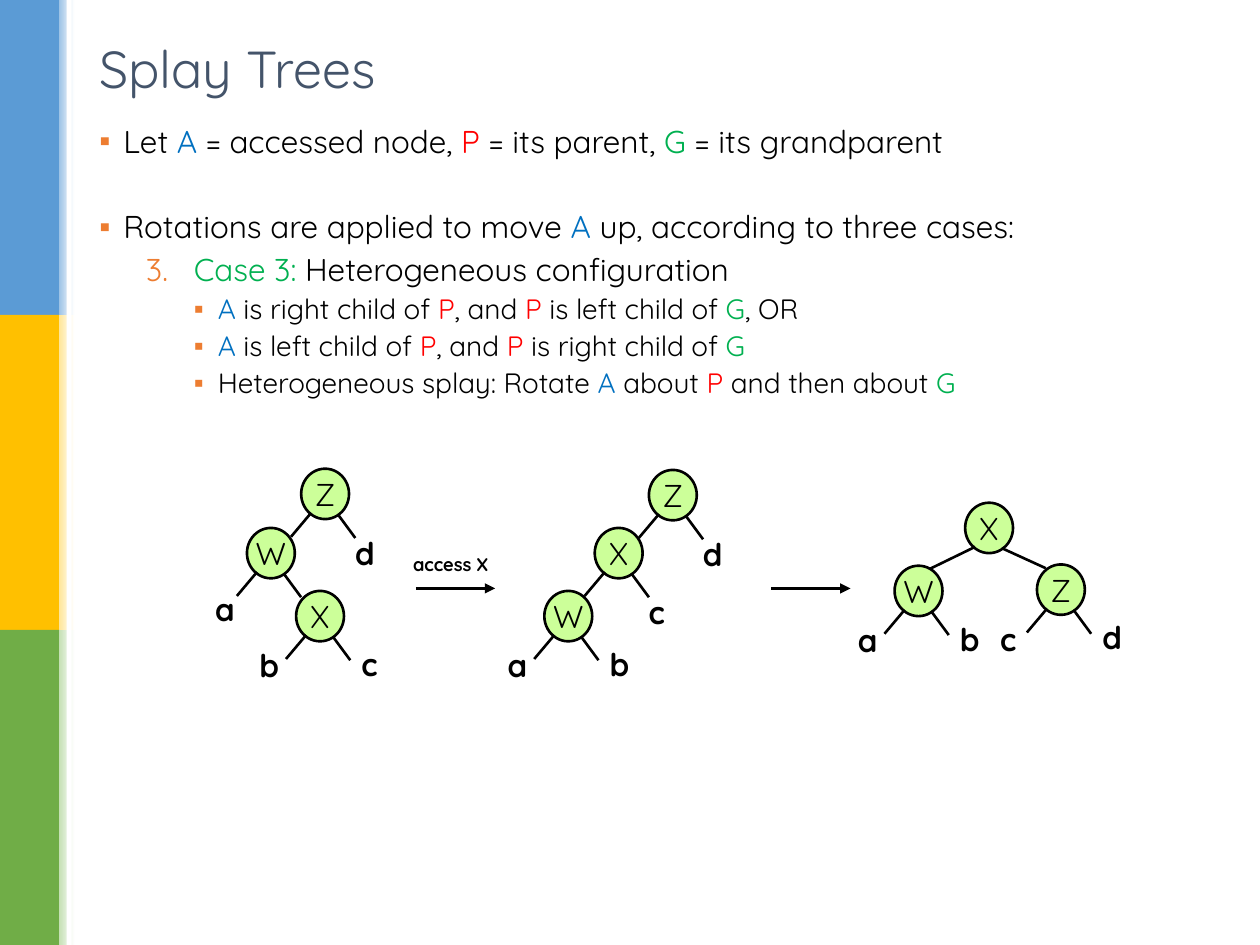
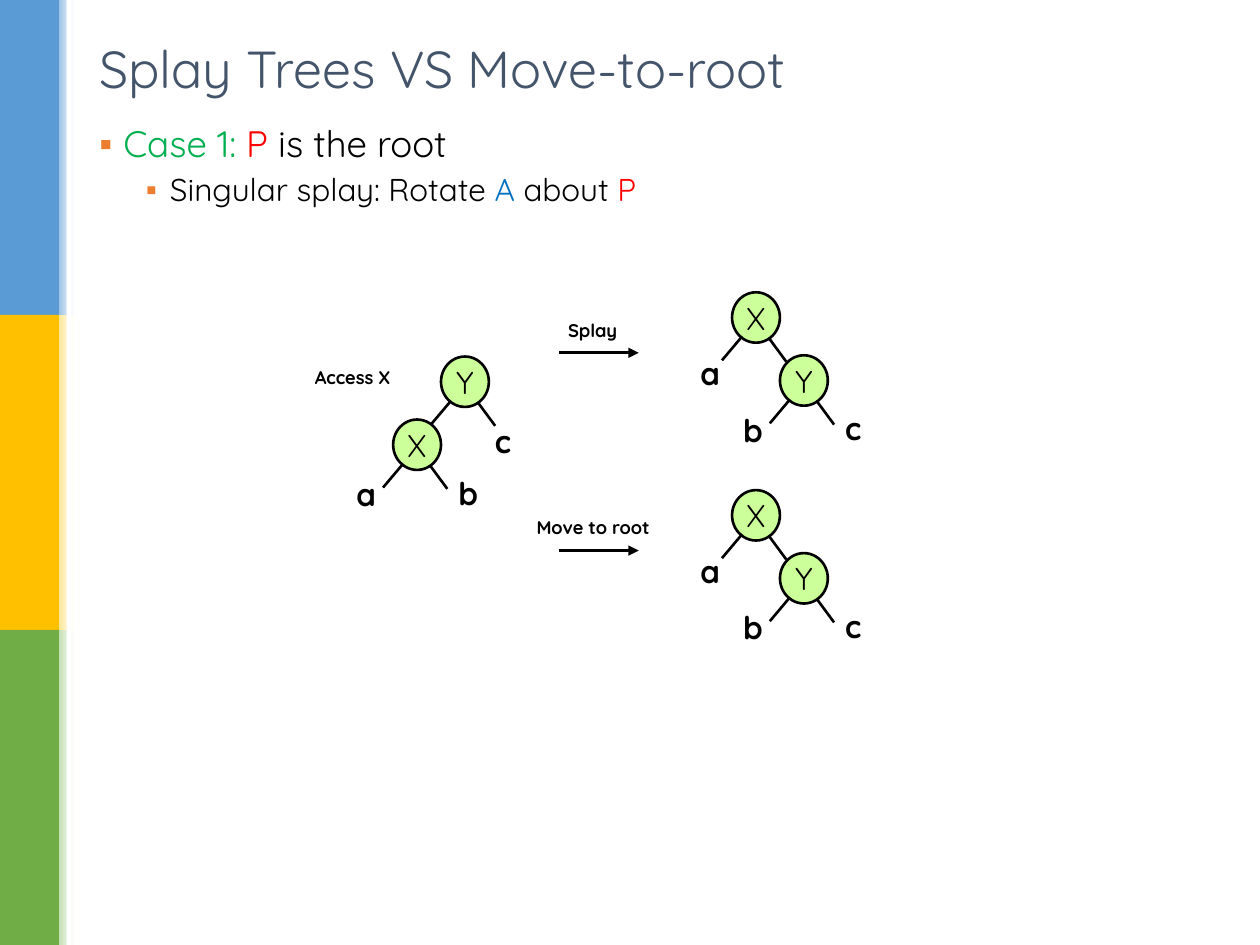
from dataclasses import dataclass
from typing import Union

from lxml import etree
from pptx import Presentation
from pptx.dml.color import RGBColor
from pptx.enum.shapes import MSO_CONNECTOR, MSO_SHAPE
from pptx.enum.text import MSO_ANCHOR, PP_ALIGN
from pptx.oxml.ns import qn
from pptx.util import Inches, Pt

RECTANGLE, ELLIPSE = MSO_SHAPE.RECTANGLE, MSO_SHAPE.OVAL
STRAIGHT = MSO_CONNECTOR.STRAIGHT
TOP, MIDDLE = MSO_ANCHOR.TOP, MSO_ANCHOR.MIDDLE
LEFT, CENTER = PP_ALIGN.LEFT, PP_ALIGN.CENTER

FONT = "Quicksand"
BLACK, WHITE = "000000", "FFFFFF"
TITLE_COLOR, BULLET_COLOR = "44546A", "ED7D31"
NODE_FILL, LABEL_OUTLINE = "CCFF99", "DEEBF7"
BANDS = [("5B9BD5", "9DC3E6"), ("FFC000", "FFE699"), ("70AD47", "C5E0B4")]
TERM_COLORS = {"A": "0070C0", "P": "FF0000", "G": "00B050",
               "Case 1:": "00B050", "Case 3:": "00B050"}
NODE_WIDTH, NODE_HEIGHT = 0.38, 0.4
LEAF_WIDTH = 0.37
ARROW_LENGTH = 0.63


@dataclass
class Node:
    label: str
    left: Union["Node", str]
    right: Union["Node", str]
    offset: tuple = (0, 0)


@dataclass
class Item:
    text: str
    size: float
    level: int = 0
    margin: float = 0.19
    hanging: float = 0.19
    before: float = 0
    number: int = 0


def rgb(color):
    return RGBColor.from_string(color)


def add_xml(parent, tag, **attributes):
    child = etree.SubElement(parent, qn(tag))
    for name, value in attributes.items():
        child.set(name, str(value))
    return child


def format_object(target, values):
    for name, value in values.items():
        setattr(target, name, value)


def add_run(paragraph, text, size, color=BLACK, bold=False):
    run = paragraph.add_run()
    run.text = text
    format_object(run.font, {"name": FONT, "size": Pt(size), "bold": bold})
    run.font.color.rgb = rgb(color)
    return run


def add_text_box(slide, box, anchor=TOP, wrap=False):
    shape = slide.shapes.add_textbox(*map(Inches, box))
    format_object(shape.text_frame, {"word_wrap": wrap, "vertical_anchor": anchor})
    return shape.text_frame


def add_shape(slide, kind, box, fill):
    shape = slide.shapes.add_shape(kind, *map(Inches, box))
    shape.shadow.inherit = False
    shape.fill.solid()
    shape.fill.fore_color.rgb = rgb(fill)
    shape.line.fill.background()
    return shape


def add_line(slide, start, end, arrow=False):
    line = slide.shapes.add_connector(STRAIGHT, *map(Inches, (*start, *end)))
    line.line.width = Pt(1.5)
    line.line.color.rgb = rgb(BLACK)
    if arrow:
        add_xml(line.line._get_or_add_ln(), "a:tailEnd", type="triangle")
    add_xml(line._element.spPr, "a:effectLst")


def add_label(slide, left, top, text, width=LEAF_WIDTH, height=0.4, size=18):
    frame = add_text_box(slide, (left, top, width, height))
    run = add_run(frame.paragraphs[0], text, size, bold=True)
    properties = run._r.get_or_add_rPr()
    outline = add_xml(properties, "a:ln", w=Pt(0.75))
    add_xml(add_xml(outline, "a:solidFill"), "a:srgbClr", val=LABEL_OUTLINE)
    properties.insert(0, outline)


def add_caption(slide, left, top, text, width):
    add_label(slide, left, top, text, width, 0.28, 10.5)


def add_arrow(slide, left, top):
    add_line(slide, (left, top), (left + ARROW_LENGTH, top), arrow=True)


def add_sidebar(slide, left, top, height):
    band_height = height / len(BANDS)
    for index, (color, pale) in enumerate(BANDS):
        band_top = top + index * band_height
        add_shape(slide, RECTANGLE, (left, band_top, 0.47, band_height), color)
        fade = add_shape(slide, RECTANGLE,
                         (left + 0.47, band_top, 0.12, band_height), pale)
        fade.fill.gradient()
        fade.fill.gradient_angle = 0
        for stop, stop_color in zip(fade.fill.gradient_stops, (pale, WHITE)):
            stop.color.rgb = rgb(stop_color)
    add_shape(slide, RECTANGLE, (left + 0.53, top, 0.04, height), WHITE)


def add_title(slide, box, text):
    frame = add_text_box(slide, box, MIDDLE)
    add_run(frame.paragraphs[0], text, 29.7, TITLE_COLOR)


def add_bullet(paragraph, item):
    properties = paragraph._p.get_or_add_pPr()
    properties.set("marL", str(Inches(item.margin)))
    properties.set("indent", str(-Inches(item.hanging)))
    add_xml(add_xml(properties, "a:buClr"), "a:srgbClr", val=BULLET_COLOR)
    if item.number:
        add_xml(properties, "a:buFont", typeface=FONT)
        add_xml(properties, "a:buAutoNum", type="arabicPeriod", startAt=item.number)
    else:
        add_xml(properties, "a:buFont", typeface="Arial")
        add_xml(properties, "a:buChar", char="▪")


def add_body(slide, box, items):
    frame = add_text_box(slide, box, wrap=True)
    for index, item in enumerate(items):
        paragraph = frame.add_paragraph() if index else frame.paragraphs[0]
        format_object(paragraph, {"level": item.level, "alignment": LEFT,
                                  "line_spacing": 0.9,
                                  "space_before": Pt(item.before)})
        add_bullet(paragraph, item)
        for part in filter(None, item.text.split("|")):
            add_run(paragraph, part, item.size, TERM_COLORS.get(part, BLACK))


def add_node(slide, left, top, label):
    shape = add_shape(slide, ELLIPSE, (left, top, NODE_WIDTH, NODE_HEIGHT), NODE_FILL)
    shape.line.color.rgb = rgb(BLACK)
    shape.line.width = Pt(1.5)
    frame = shape.text_frame
    format_object(frame, {"word_wrap": False, "vertical_anchor": MIDDLE})
    frame.paragraphs[0].alignment = CENTER
    add_run(frame.paragraphs[0], label, 18)


def add_tree(slide, left, top, node):
    add_node(slide, left, top, node.label)
    is_bottom = isinstance(node.left, str) and isinstance(node.right, str)
    leaf_offsets = [(-0.39, 0.39), (0.42, 0.38)] if is_bottom else [(-0.35, 0.44), (0.33, 0.47)]
    sides = [(node.left, (0.08, 0.35), (-0.08, 0.54), 0.27),
             (node.right, (0.29, 0.36), (0.43, 0.55), 0.07)]
    for (child, start, end, contact), leaf_offset in zip(sides, leaf_offsets):
        is_leaf = isinstance(child, str)
        across, down = leaf_offset if is_leaf else child.offset
        if abs(across) > 0.5:
            end = (across + contact, down + 0.03)
        add_line(slide, (left + start[0], top + start[1]), (left + end[0], top + end[1]))
        add_part = add_label if is_leaf else add_tree
        add_part(slide, left + across, top + down, child)


def add_rotation_steps(slide, left, top):
    zigzag = Node("Z", Node("W", "a", Node("X", "b", "c", (0.39, 0.5)), (-0.43, 0.47)), "d")
    chain = Node("Z", Node("X", Node("W", "a", "b", (-0.4, 0.5)), "c", (-0.43, 0.46)), "d")
    balanced = Node("X", Node("W", "a", "b", (-0.56, 0.5)), Node("Z", "c", "d", (0.57, 0.49)))
    add_tree(slide, left + 0.77, top, zigzag)
    add_caption(slide, left + 1.56, top + 0.62, "access X", 0.9)
    add_arrow(slide, left + 1.68, top + 0.95)
    add_tree(slide, left + 3.53, top + 0.01, chain)
    add_arrow(slide, left + 4.5, top + 0.95)
    add_tree(slide, left + 6.04, top + 0.27, balanced)


def add_comparison(slide, left, top):
    before = Node("Y", Node("X", "a", "b", (-0.38, 0.5)), "c")
    after = Node("X", "a", Node("Y", "b", "c", (0.38, 0.5)))
    add_caption(slide, left, top + 0.54, "Access X", 0.87)
    add_tree(slide, left + 1.1, top + 0.51, before)
    outcomes = [("Splay", 2.01, 0.59), ("Move to root", 1.76, 1.11)]
    for index, (caption, caption_left, width) in enumerate(outcomes):
        row_top = top + index * 1.57
        add_caption(slide, left + caption_left, row_top + 0.16, caption, width)
        add_arrow(slide, left + 2.04, row_top + 0.48)
        add_tree(slide, left + 3.41, row_top, after)


def add_content_slide(presentation, title, title_width, items):
    slide = presentation.slides.add_slide(presentation.slide_layouts[6])
    add_sidebar(slide, 0, 0, 7.5)
    add_body(slide, (0.69, 0.95, 8.74, 6.44), items)
    add_title(slide, (0.69, 0.26, title_width, 0.56), title)
    return slide


HETEROGENEOUS_CASE = [
    Item("Let |A| = accessed node, |P| = its parent, |G| = its grandparent", 18),
    Item("Rotations are applied to move |A| up, according to three cases:", 18, before=29.5),
    Item("Case 3:| Heterogeneous configuration", 18, 1, 0.75, 0.38, 5, number=3),
    *(Item(text, 16, 2, 0.94, before=4) for text in (
        "A| is right child of |P|, and |P| is left child of |G|, OR",
        "A| is left child of |P|, and |P| is right child of |G",
        "Heterogeneous splay: Rotate |A| about |P| and then about |G")),
]
ROOT_CASE = [
    Item("Case 1:| |P| is the root", 21),
    Item("Singular splay: Rotate |A| about |P", 18, 1, 0.56, before=5),
]

presentation = Presentation()
presentation.slide_width, presentation.slide_height = Inches(10), Inches(7.5)
rotation_slide = add_content_slide(presentation, "Splay Trees", 3.74, HETEROGENEOUS_CASE)
add_rotation_steps(rotation_slide, 1.62, 3.72)
comparison_slide = add_content_slide(presentation, "Splay Trees VS Move-to-root", 6.12, ROOT_CASE)
add_comparison(comparison_slide, 2.4, 2.32)
presentation.save("out.pptx")
